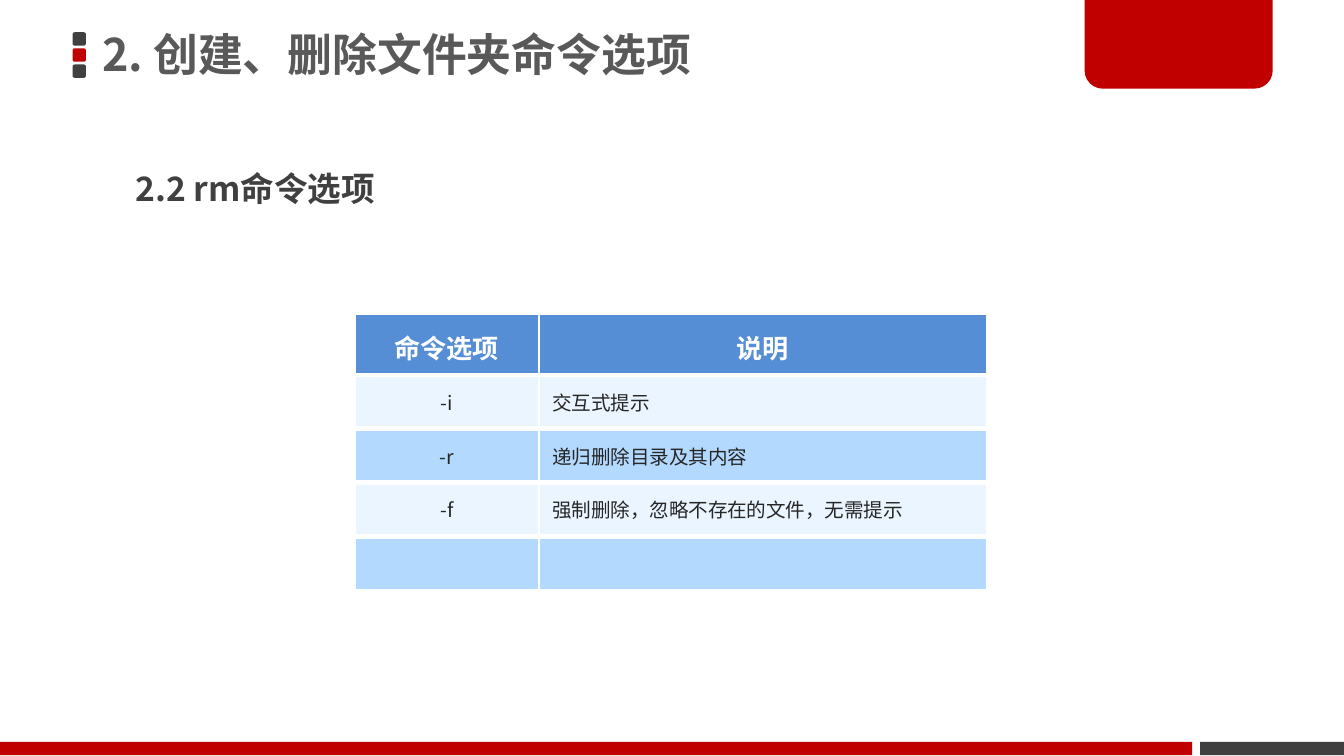
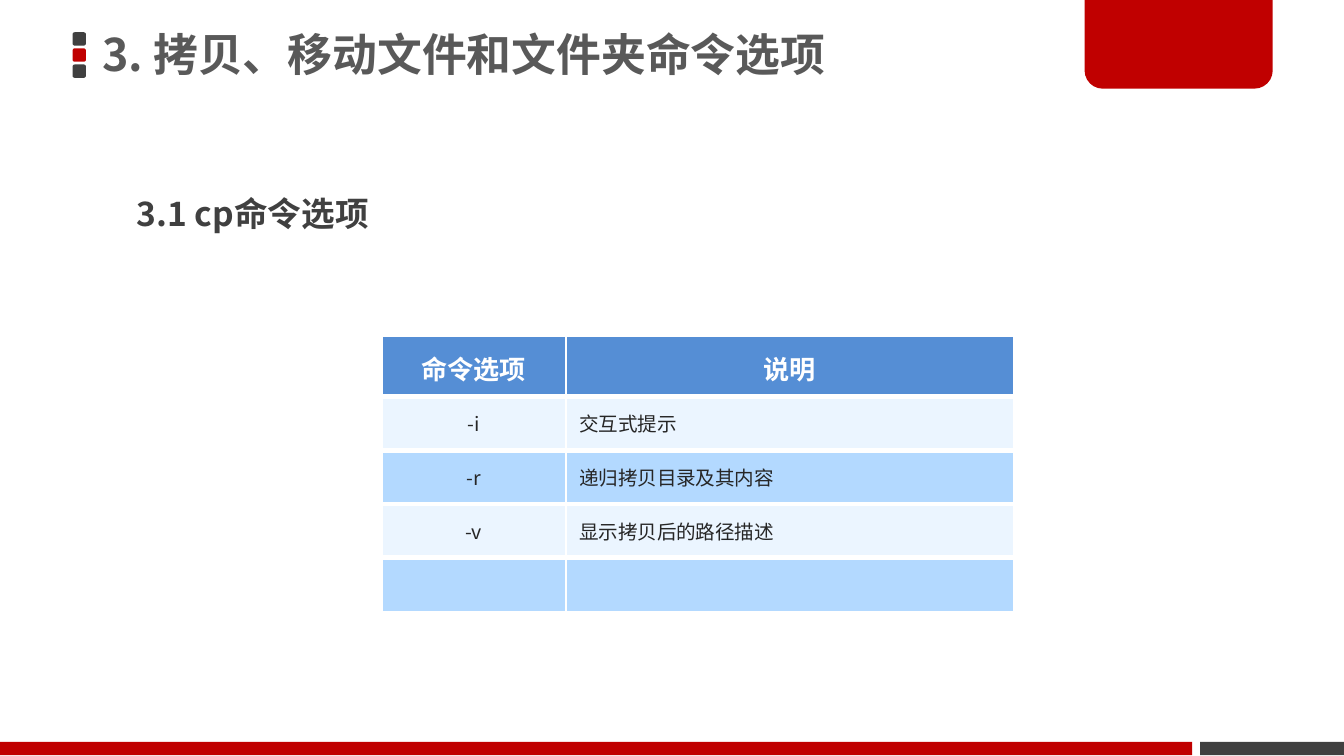
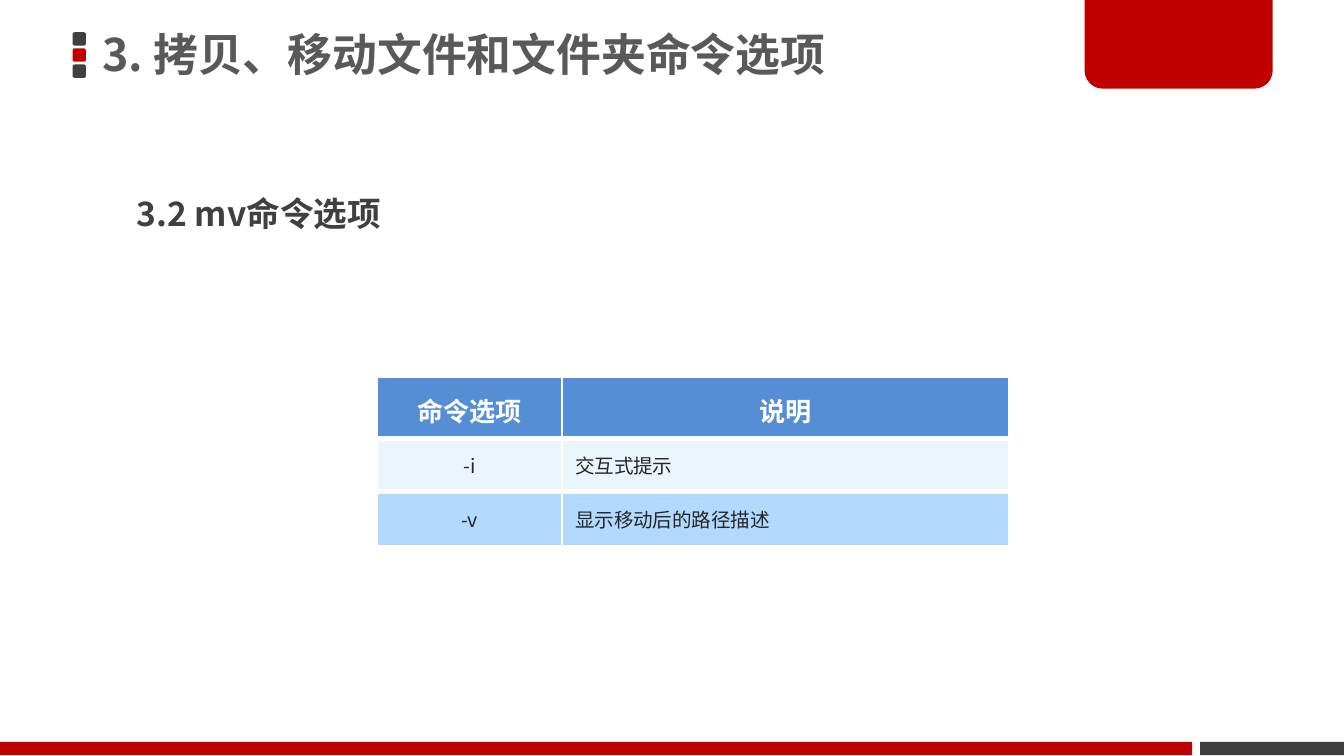
from dataclasses import dataclass

from lxml import etree
from pptx import Presentation
from pptx.dml.color import RGBColor
from pptx.enum import shapes, text
from pptx.oxml import ns
from pptx.util import Inches, Pt


@dataclass(frozen=True)
class Theme:
    font: str = "Noto Sans CJK SC"
    red: str = "C00000"
    dark: str = "404040"
    title: str = "595959"
    body: str = "262626"
    white: str = "FFFFFF"
    header: str = "558ED5"
    bands: tuple = ("EBF5FF", "B3D9FF")
    title_size: float = 24
    subtitle_size: float = 18
    header_size: float = 14
    body_size: float = 10.5


theme = Theme()
SHAPE = shapes.MSO_SHAPE
LEFT, CENTER = text.PP_ALIGN.LEFT, text.PP_ALIGN.CENTER
TOP, MIDDLE = text.MSO_ANCHOR.TOP, text.MSO_ANCHOR.MIDDLE


def write(frame, words, size, color, bold=False, align=LEFT, spacing=None):
    para = frame.paragraphs[0]
    para.alignment = align
    para.line_spacing = spacing
    if not words:
        # An empty cell still needs its type size, or the row grows
        etree.SubElement(para._p, ns.qn("a:endParaRPr"), sz=str(int(size * 100)))
        return
    span = para.add_run()
    span.text = words
    span.font.name = theme.font
    span.font.size = Pt(size)
    span.font.bold = bold
    span.font.color.rgb = RGBColor.from_string(color)
    etree.SubElement(span.font._element, ns.qn("a:ea"), typeface=theme.font)


def add_block(page, kind, left, top, width, height, color):
    block = page.shapes.add_shape(
        kind, Inches(left), Inches(top), Inches(width), Inches(height))
    block.shadow.inherit = False
    block.fill.solid()
    block.fill.fore_color.rgb = RGBColor.from_string(color)
    block.line.fill.background()
    return block


# Content: title, subtitle and its place, table place, option rows
COPY_TITLE = "3. 拷贝、移动文件和文件夹命令选项"
HEADINGS = ("命令选项", "说明")
PROMPT = ("-i", "交互式提示")
PAGES = [
    ("2. 创建、删除文件夹命令选项", "2.2 rm命令选项", (0.91, 1.05), (2.64, 2.34),
     [PROMPT, ("-r", "递归删除目录及其内容"),
      ("-f", "强制删除，忽略不存在的文件，无需提示"), ("", "")]),
    (COPY_TITLE, "3.1 cp命令选项", (0.92, 1.24), (2.84, 2.5),
     [PROMPT, ("-r", "递归拷贝目录及其内容"),
      ("-v", "显示拷贝后的路径描述"), ("", "")]),
    (COPY_TITLE, "3.2 mv命令选项", (0.92, 1.24), (2.81, 2.81),
     [PROMPT, ("-v", "显示移动后的路径描述")]),
]
COLUMN_WIDTHS = (1.37, 3.33)
HEADER_HEIGHT, ROW_HEIGHT = 0.45, 0.4

deck = Presentation()
deck.slide_width, deck.slide_height = Inches(10), Inches(5.625)

for title, subtitle, subtitle_at, table_at, options in PAGES:
    page = deck.slides.add_slide(deck.slide_layouts[6])

    # Title marker, footer bands and corner tab
    for i, color in enumerate((theme.dark, theme.red, theme.dark)):
        add_block(page, SHAPE.ROUNDED_RECTANGLE, 0.54, 0.24 + 0.12 * i, 0.1, 0.1, color)
    add_block(page, SHAPE.RECTANGLE, 8.93, 5.52, 1.07, 0.1, theme.dark)
    tab = add_block(page, SHAPE.ROUND_2_SAME_RECTANGLE, 8.07, -0.02, 1.4, 0.68, theme.red)
    tab.adjustments[0], tab.adjustments[1] = 0, 0.2
    add_block(page, SHAPE.RECTANGLE, 0, 5.52, 8.87, 0.1, theme.red)

    # Title
    box = page.shapes.add_textbox(Inches(0.69), Inches(-0.02), Inches(5.89), Inches(0.89))
    frame = box.text_frame
    frame.word_wrap = True
    frame.vertical_anchor = MIDDLE
    frame.margin_left = frame.margin_right = Inches(0.07)
    frame.margin_top = frame.margin_bottom = Inches(0.04)
    write(frame, title, theme.title_size, theme.title, bold=True, spacing=0.9)

    # Subtitle
    left, top = subtitle_at
    box = page.shapes.add_textbox(Inches(left), Inches(top), Inches(3.84), Inches(0.56))
    box.text_frame.word_wrap = True
    box.text_frame.auto_size = text.MSO_AUTO_SIZE.SHAPE_TO_FIT_TEXT
    write(box.text_frame, subtitle, theme.subtitle_size, theme.dark, bold=True, spacing=1.5)

    # Option table
    rows = [HEADINGS, *options]
    left, top = table_at
    table = page.shapes.add_table(
        len(rows), len(COLUMN_WIDTHS), Inches(left), Inches(top),
        Inches(sum(COLUMN_WIDTHS)), Inches(HEADER_HEIGHT + ROW_HEIGHT * len(options))).table
    for column, width in zip(table.columns, COLUMN_WIDTHS):
        column.width = Inches(width)
    for r, row in enumerate(rows):
        is_header = r == 0
        table.rows[r].height = Inches(HEADER_HEIGHT if is_header else ROW_HEIGHT)
        for c, words in enumerate(row):
            cell = table.cell(r, c)
            # White rules: thick between rows, thin elsewhere
            edges = {"L": 1, "R": 1, "T": 1 if is_header else 3,
                     "B": 1 if r == len(rows) - 1 else 3}
            for side, points in edges.items():
                line = etree.SubElement(cell._tc.get_or_add_tcPr(), ns.qn("a:ln" + side),
                                        w=str(Pt(points)))
                fill = etree.SubElement(line, ns.qn("a:solidFill"))
                etree.SubElement(fill, ns.qn("a:srgbClr"), val=theme.white)
            cell.fill.solid()
            cell.fill.fore_color.rgb = RGBColor.from_string(
                theme.header if is_header else theme.bands[(r - 1) % 2])
            cell.vertical_anchor = TOP if is_header else MIDDLE
            if is_header:
                write(cell.text_frame, words, theme.header_size, theme.white,
                      bold=True, align=CENTER, spacing=Pt(24))
            else:
                write(cell.text_frame, words, theme.body_size, theme.body,
                      align=CENTER if c == 0 else LEFT)

deck.save("out.pptx")
